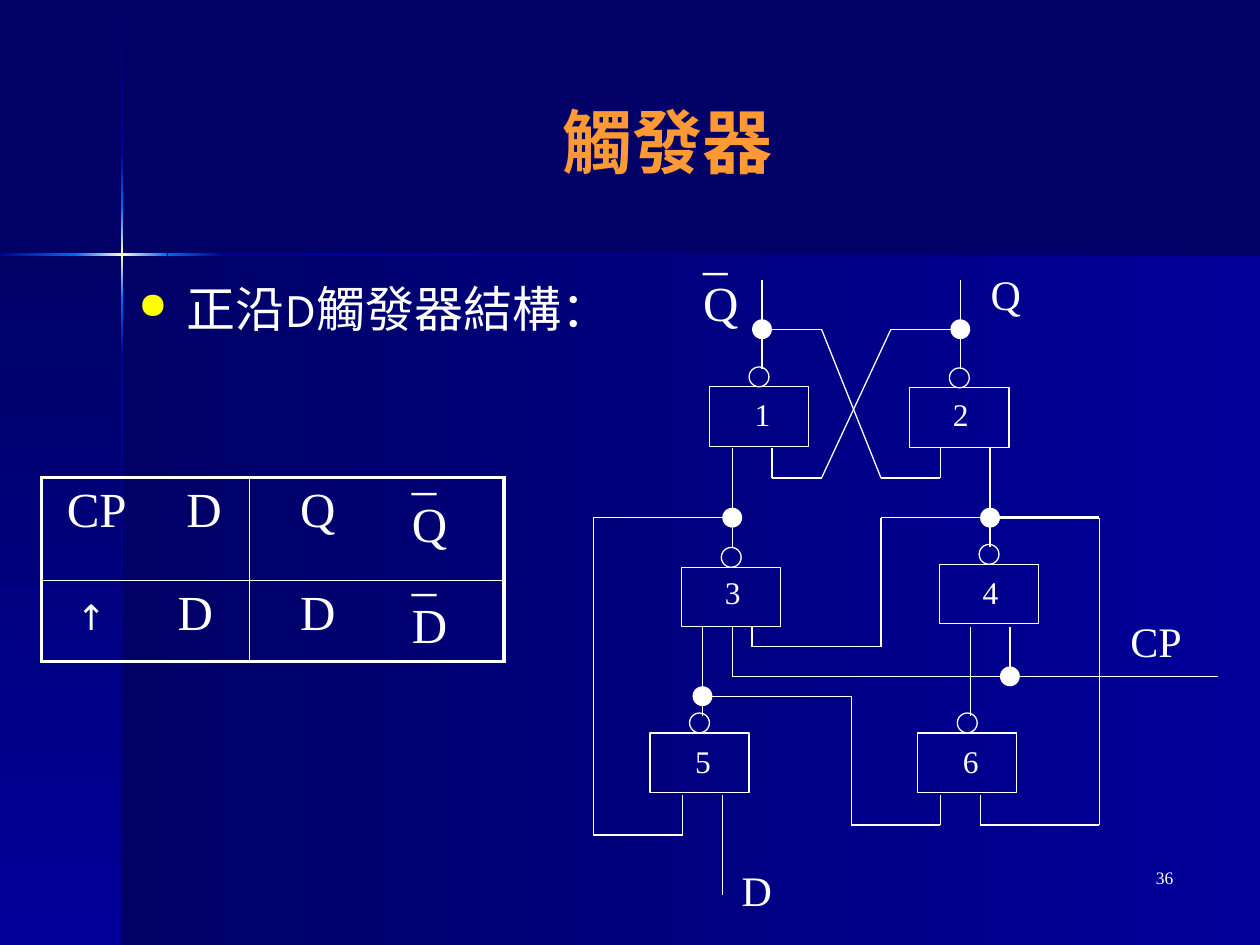
from collections import namedtuple
from itertools import pairwise

from lxml import etree
from pptx import Presentation
from pptx import util as u
from pptx.dml import color
from pptx.enum import shapes, text
from pptx.oxml import ns

Box = namedtuple("Box", "left top width height")
SERIF, SANS = "Times New Roman", "Karla"
WHITE, DARK, MID, BRIGHT, GLOW = "FFFFFF", "000066", "000099", "0066FF", "FFFFCC"
CELL = 0.0787  # side of one square of the circuit grid, in inches


def paint(hex_code):
    return color.RGBColor.from_string(hex_code)


def inches(box):
    return [u.Inches(value) for value in box]


def child(parent, tag, **attributes):
    return etree.SubElement(parent, ns.qn(tag), attributes)


def set_font(para, size, name=SERIF, hex_code=WHITE, bold=None):
    para.font.size, para.font.name, para.font.bold = u.Pt(size), name, bold
    para.font.color.rgb = paint(hex_code)


def add_text(page, box, lines, size, name=SERIF, wrap=True, spacing=()):
    """Text box with one paragraph a line; spacing lists exact line heights."""
    frame = page.shapes.add_textbox(*inches(box)).text_frame
    frame.word_wrap = wrap
    frame.text = "\n".join(lines)
    for para, height in zip(frame.paragraphs, spacing):
        para.line_spacing = u.Pt(height)
    for para in frame.paragraphs:
        set_font(para, size, name)
    return frame


def add_barred(page, box, letter, bar_height=30):
    add_text(page, box, ["_", letter], 28, spacing=(bar_height, 30))


def add_plain(page, kind, box, fill=None):
    """White shape: filled without a line, or outlined without a fill."""
    shape = page.shapes.add_shape(kind, *inches(box))
    shape.shadow.inherit = False
    if fill:
        shape.fill.solid()
        shape.fill.fore_color.rgb = paint(fill)
        shape.line.fill.background()
    else:
        shape.fill.background()
        shape.line.color.rgb = paint(WHITE)
        shape.line.width = u.Pt(0.75)
    return shape


def add_gradient(page, box, colours, angle):
    shape = add_plain(page, shapes.MSO_SHAPE.RECTANGLE, box, DARK)
    old = shape.fill._xPr.find(ns.qn("a:solidFill"))
    gradient = etree.Element(ns.qn("a:gradFill"), rotWithShape="1")
    stops = child(gradient, "a:gsLst")
    for index, hex_code in enumerate(colours):
        stop = child(stops, "a:gs", pos=str(index * 100000 // (len(colours) - 1)))
        child(stop, "a:srgbClr", val=hex_code)
    child(gradient, "a:lin", ang=str(angle * 60000), scaled="0")
    old.getparent().replace(old, gradient)


def draw_backdrop(page, width, height):
    """Two shaded panels, parted by a cross of thin glowing bars."""
    page.background.fill.solid()
    page.background.fill.fore_color.rgb = paint(DARK)
    x, y, thin = 0.97, 2.02, 0.02
    add_gradient(page, (x, y, width - x, height - y), (DARK, MID), 0)
    add_gradient(page, (0, y, x, height - y), (DARK, MID), 90)
    shades = [(DARK, MID), (MID, BRIGHT), (BRIGHT, GLOW, BRIGHT), (BRIGHT, MID), (MID, DARK)]
    upright = pairwise((0.01, 1.21, 1.65, 2.38, 2.82, height))
    level = pairwise((0, 0.6, 1.33, 1.77, width))
    for (start, end), colours in zip(upright, shades):
        add_gradient(page, (x - thin / 2, start, thin, end - start), colours, 90)
    for (start, end), colours in zip(level, shades[1:]):
        add_gradient(page, (start, y - thin / 2, end - start, thin), colours, 0)


def draw_heading(page, box):
    title = page.shapes.title
    title.left, title.top, title.width, title.height = inches(box)
    frame = title.text_frame
    frame.text = "觸發器"
    frame.vertical_anchor = text.MSO_ANCHOR.MIDDLE
    frame.paragraphs[0].alignment = text.PP_ALIGN.CENTER
    set_font(frame.paragraphs[0], 40, SANS, "FF9933", True)


def draw_bullet(page, box):
    para = add_text(page, box, ["正沿D觸發器結構："], 28, SANS).paragraphs[0]
    props = para._p.get_or_add_pPr()
    indent = u.Inches(0.38)
    props.set("marL", str(indent))
    props.set("indent", str(-indent))
    mark = etree.Element(ns.qn("a:buClr"))
    child(mark, "a:srgbClr", val="FFFF00")
    size = etree.Element(ns.qn("a:buSzPct"), val="75000")
    char = etree.Element(ns.qn("a:buChar"), char="●")
    for index, element in enumerate((mark, size, char)):
        props.insert(index, element)


def add_borders(cell, widths):
    """Widths in points for the left, right, top and bottom edges."""
    props = cell._tc.get_or_add_tcPr()
    for side, width in zip("LRTB", widths):
        line = child(props, f"a:ln{side}", w=str(u.Pt(width)))
        child(child(line, "a:solidFill"), "a:srgbClr", val=WHITE)


def draw_truth_table(page, box):
    table = page.shapes.add_table(2, 2, *inches(box)).table
    table.first_row = table.horz_banding = False
    for column, share in zip(table.columns, (0.45, 0.55)):
        column.width = u.Inches(box.width * share)
    for row, share in zip(table.rows, (0.56, 0.44)):
        row.height = u.Inches(box.height * share)
    entries = [[("CP\tD", 0.2), ("Q", 0.4)], [("D", 1.08), ("D", 0.4)]]
    thick, thin = 2.25, 1
    for r, row in enumerate(entries):
        for c, (words, margin) in enumerate(row):
            cell = table.cell(r, c)
            across = (thin, thick) if c else (thick, thin)
            down = (thin, thick) if r else (thick, thin)
            add_borders(cell, across + down)
            cell.fill.background()
            cell.margin_left = u.Inches(margin)
            cell.text = words
            para = cell.text_frame.paragraphs[0]
            if "\t" in words:
                tabs = child(para._p.get_or_add_pPr(), "a:tabLst")
                child(tabs, "a:tab", pos=str(u.Inches(0.95)), algn="l")
            set_font(para, 28)
    right = box.left + box.width - 0.83
    add_barred(page, Box(right, box.top - 0.29, 0.67, 0.94), "Q")
    add_barred(page, Box(right, box.top + 0.58, 0.67, 0.87), "D", 25)
    add_text(page, Box(box.left + 0.18, box.top + 0.89, 0.41, 0.5), ["↑"], 20, SANS)


def draw_circuit(page, left, top):
    """Six gates on a square grid; all places are (column, row)."""
    def at(column, row, columns=0, rows=0):
        return Box(left + column * CELL, top + row * CELL, columns * CELL, rows * CELL)

    def wire(points, width=0.75):
        for start, end in pairwise(points):
            line = page.shapes.add_connector(
                shapes.MSO_CONNECTOR.STRAIGHT, *inches(at(*start)[:2] + at(*end)[:2]))
            line.line.color.rgb = paint(WHITE)
            line.line.width = u.Pt(width)
            child(line._element.spPr, "a:effectLst")

    wires = [
        [(17, 9), (17, 0)], [(37, 9), (37, 0)],
        [(17, 5), (23, 5), (29, 20), (35, 20), (35, 17)],
        [(37, 5), (30, 5), (23, 20), (18, 20), (18, 17)],
        [(14, 27), (14, 17)], [(40, 27), (40, 17)],
        [(38, 44), (38, 35)], [(11, 44), (11, 35)],
        [(11, 42), (26, 42), (26, 55), (35, 55), (35, 52)],
        [(13, 52), (13, 62)],
        [(14, 35), (14, 40), (63, 40)], [(42, 35), (42, 40)],
        [(39, 52), (39, 55), (51, 55), (51, 24)],
        [(40, 24), (29, 24), (29, 37), (16, 37), (16, 35)],
        [(9, 52), (9, 56), (0, 56), (0, 24), (14, 24)],
    ]
    for points in wires:
        wire(points)
    wire([(40, 24), (51, 24)], 1.5)

    oval = shapes.MSO_SHAPE.OVAL
    for column, row in [(17, 5), (37, 5), (14, 24), (40, 24), (42, 40), (11, 42)]:
        add_plain(page, oval, at(column - 1, row - 1, 2, 2), WHITE)

    gates = [("1", 11.7, 10.8, 15), ("2", 31.9, 10.9, 35), ("3", 8.9, 29, 12),
             ("4", 34.9, 28.7, 38), ("5", 5.7, 45.7, 9), ("6", 32.7, 45.7, 36)]
    for name, column, row, label_column in gates:
        add_plain(page, shapes.MSO_SHAPE.RECTANGLE, at(column, row, 10, 6))
        add_plain(page, oval, at(column + 4, row - 2, 2, 2))
        add_text(page, at(label_column, round(row), 3.8, 5), [name], 18)

    signals = [("CP", 52.9, 33.2, 8.5), ("D", 13.7, 58.3, 5.6), ("Q", 38.8, -1.8, 5.6)]
    for name, column, row, columns in signals:
        add_text(page, at(column, row, columns, 6.4), [name], 24, wrap=False)
    add_barred(page, at(9.8, -6, 8.5, 12), "Q")


def main():
    deck = Presentation()
    width, height = 10, 7.5
    deck.slide_width, deck.slide_height = u.Inches(width), u.Inches(height)
    page = deck.slides.add_slide(deck.slide_layouts[5])
    draw_backdrop(page, width, height)
    draw_heading(page, Box(1.17, 0.33, 8.25, 1.57))
    draw_bullet(page, Box(1, 2.16, 4, 4.5))
    draw_circuit(page, 4.71, 2.22)
    draw_truth_table(page, Box(0.33, 3.79, 3.67, 1.46))
    number = add_text(page, Box(7.33, 6.83, 2.08, 0.5), ["36"], 10)
    number.paragraphs[0].alignment = text.PP_ALIGN.RIGHT
    deck.save("out.pptx")


if __name__ == "__main__":
    main()
